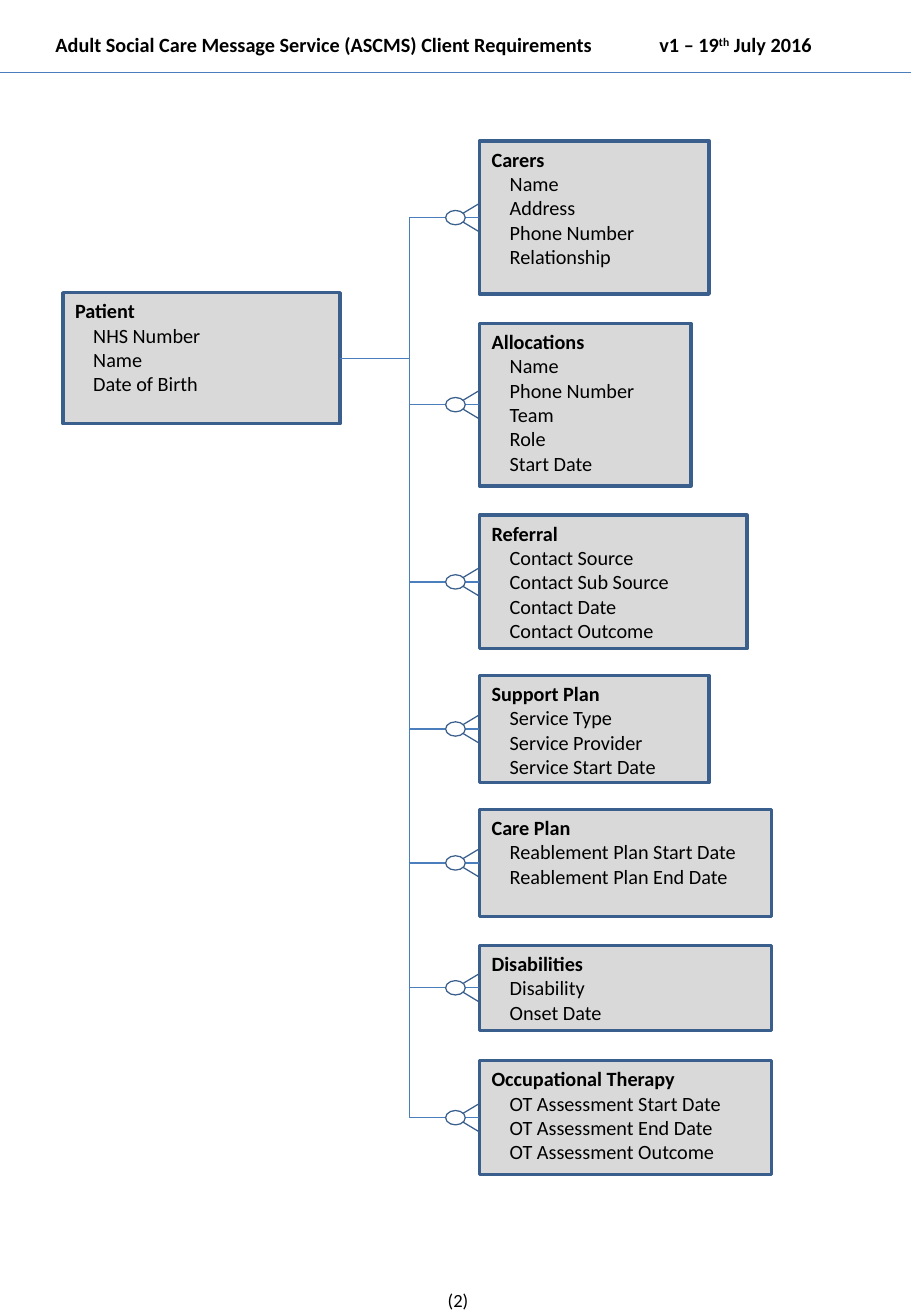
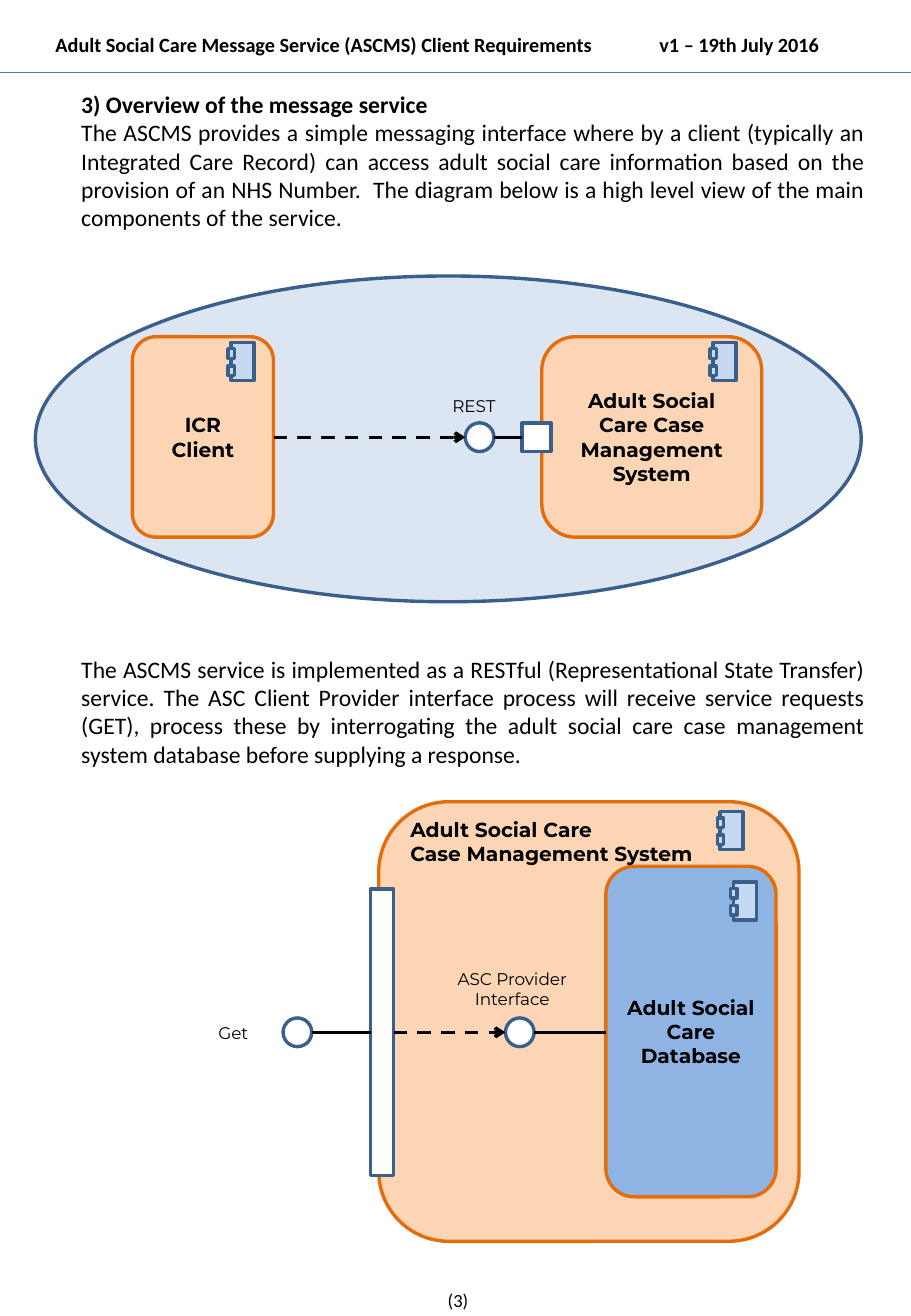
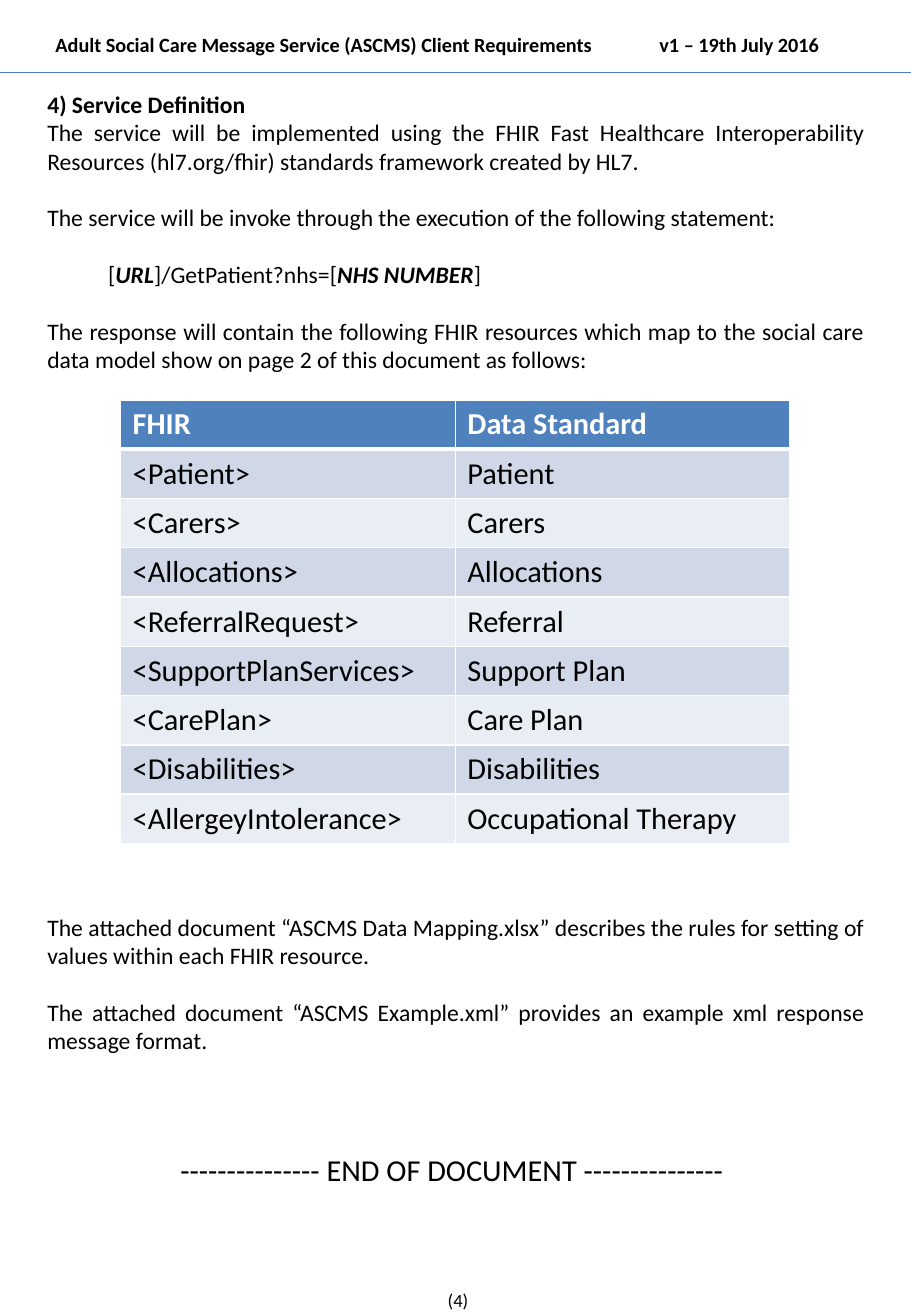
import dataclasses

import pptx
import pptx.dml.color
import pptx.enum.dml
import pptx.enum.shapes
import pptx.enum.text
import pptx.oxml
import pptx.oxml.ns
import pptx.util

Cm = pptx.util.Cm
Pt = pptx.util.Pt
SHAPE = pptx.enum.shapes.MSO_SHAPE
CONNECTOR = pptx.enum.shapes.MSO_CONNECTOR
ALIGN = pptx.enum.text.PP_ALIGN
ANCHOR = pptx.enum.text.MSO_ANCHOR
DASH = pptx.enum.dml.MSO_LINE.DASH


@dataclasses.dataclass(frozen=True)
class Theme:
    page_width: float = 19.05
    page_height: float = 27.51
    body_font: str = "Calibri"
    diagram_font: str = "Montserrat"
    # Type sizes
    label: int = 10
    page_number: int = 11
    entity: int = 12
    body: int = 14
    large: int = 18
    # Line widths
    thin: float = 0.75
    thick: float = 2
    # Colours
    ink: str = "000000"
    paper: str = "FFFFFF"
    rule: str = "4B7EBC"
    outline: str = "3A5F8C"
    entity_fill: str = "D9D9D9"
    service_fill: str = "DCE6F2"
    component_fill: str = "FCD5B5"
    component_line: str = "E46C0A"
    database_fill: str = "8EB4E3"
    icon_fill: str = "C6D9F1"
    table_head: str = "4F81BD"
    table_bands: tuple = ("D0D8E8", "E9EDF4")


THEME = Theme()


def rgb(colour):
    return pptx.dml.color.RGBColor.from_string(colour)


# Drawing helpers: all lengths are centimetres
def format_runs(paragraph, size, font=THEME.body_font, bold=False, colour=THEME.ink):
    for run in paragraph.runs:
        run.font.size = Pt(size)
        run.font.name = font
        run.font.bold = bold
        run.font.color.rgb = rgb(colour)


def indent(paragraph, distance):
    paragraph._p.get_or_add_pPr().set("marL", str(Cm(distance)))


def write(owner, text, size, font=THEME.body_font, bold=False, align=ALIGN.LEFT):
    frame = owner.text_frame
    frame.word_wrap = True
    frame.text = text
    for paragraph in frame.paragraphs:
        paragraph.alignment = align
        format_runs(paragraph, size, font, bold)
    return frame.paragraphs


def add_text(slide, left, top, width, height, text, size, **style):
    box = slide.shapes.add_textbox(Cm(left), Cm(top), Cm(width), Cm(height))
    return write(box, text, size, **style)


def add_label(slide, centre, top, text, size=THEME.label, font=THEME.diagram_font, width=4):
    add_text(slide, centre - width / 2, top, width, 0.7, text, size,
             font=font, align=ALIGN.CENTER)


def add_block(slide, preset, left, top, width, height, fill=None,
              line=THEME.outline, weight=THEME.thick):
    block = slide.shapes.add_shape(preset, Cm(left), Cm(top), Cm(width), Cm(height))
    block.shadow.inherit = False
    if fill:
        block.fill.solid()
        block.fill.fore_color.rgb = rgb(fill)
    else:
        block.fill.background()
    block.line.color.rgb = rgb(line)
    block.line.width = Pt(weight)
    return block


def add_line(slide, x1, y1, x2, y2, colour=THEME.ink, weight=THEME.thick,
             kind=CONNECTOR.STRAIGHT, arrow=False):
    line = slide.shapes.add_connector(kind, Cm(x1), Cm(y1), Cm(x2), Cm(y2))
    line.line.color.rgb = rgb(colour)
    line.line.width = Pt(weight)
    properties = line._element.spPr
    if arrow:
        line.line.dash_style = DASH
        outline = properties.find(pptx.oxml.ns.qn("a:ln"))
        tail = pptx.oxml.parse_xml(f'<a:tailEnd {pptx.oxml.ns.nsdecls("a")} type="arrow"/>')
        outline.append(tail)
    properties.append(pptx.oxml.parse_xml(f'<a:effectLst {pptx.oxml.ns.nsdecls("a")}/>'))
    return line


# Header, rule and page number shared by every page
def add_page(deck, number, raised_suffix=False):
    slide = deck.slides.add_slide(deck.slide_layouts[6])
    title = "Adult Social Care Message Service (ASCMS) Client Requirements\tv1 – 19"
    header = add_text(slide, 0.91, 0.56, 17.5, 0.76, title, THEME.entity, bold=True)[0]
    for part in ("th", " July 2016"):
        header.add_run().text = part
    format_runs(header, THEME.entity, bold=True)
    if raised_suffix:
        header.runs[1]._r.get_or_add_rPr().set("baseline", "30000")
    header._p.get_or_add_pPr().append(pptx.oxml.parse_xml(
        f'<a:tabLst {pptx.oxml.ns.nsdecls("a")}>'
        f'<a:tab pos="{Cm(12.63)}" algn="l"/></a:tabLst>'))
    add_line(slide, 0, 1.52, THEME.page_width, 1.52, THEME.rule, THEME.thin)
    add_label(slide, 9.58, 26.82, f"({number})", THEME.page_number, THEME.body_font)
    return slide


# Page 2: data model
def add_entity(slide, left, top, width, height, name, fields):
    entity = add_block(slide, SHAPE.RECTANGLE, left, top, width, height, THEME.entity_fill)
    entity.text_frame.vertical_anchor = ANCHOR.TOP
    heading, *rows = write(entity, "\n".join([name, *fields]), THEME.entity)
    heading.runs[0].font.bold = True
    for row in rows:
        indent(row, 0.38)
    return entity


def add_crow_foot(slide, right, middle):
    spread, depth = 0.6, 0.5
    foot = add_block(slide, SHAPE.ISOSCELES_TRIANGLE, right - (depth + spread) / 2,
                     middle - depth / 2, spread, depth, weight=THEME.thin)
    foot.rotation = 270
    add_block(slide, SHAPE.OVAL, right - 0.71, middle - 0.15, 0.41, 0.3,
              THEME.paper, weight=THEME.thin)


def add_data_model(slide, left, top):
    patient = add_entity(slide, left, top + 3.17, 5.79, 2.74, "Patient",
                         ["NHS Number", "Name", "Date of Birth"])
    column = left + 8.71
    related = [  # offset from top, width, height, name, fields
        (0, 4.8, 3.2, "Carers", ["Name", "Address", "Phone Number", "Relationship"]),
        (3.81, 4.42, 3.4, "Allocations",
         ["Name", "Phone Number", "Team", "Role", "Start Date"]),
        (7.82, 5.59, 2.79, "Referral",
         ["Contact Source", "Contact Sub Source", "Contact Date", "Contact Outcome"]),
        (11.17, 4.8, 2.24, "Support Plan",
         ["Service Type", "Service Provider", "Service Start Date"]),
        (13.97, 6.1, 2.24, "Care Plan",
         ["Reablement Plan Start Date", "Reablement Plan End Date"]),
        (16.81, 6.1, 1.78, "Disabilities", ["Disability", "Onset Date"]),
        (19.22, 6.1, 2.39, "Occupational Therapy",
         ["OT Assessment Start Date", "OT Assessment End Date", "OT Assessment Outcome"]),
    ]
    for offset, width, height, name, fields in related:
        entity = add_entity(slide, column, top + offset, width, height, name, fields)
        middle = top + offset + height / 2
        link = add_line(slide, left + 5.79, top + 4.54, column, middle,
                        THEME.rule, THEME.thin, CONNECTOR.ELBOW)
        link.begin_connect(patient, 3)
        link.end_connect(entity, 1)
        add_crow_foot(slide, column, middle)


# Page 3: component diagrams
def add_icon(slide, left, top):
    for x, y, width, height in [(0, 0, 0.48, 0.79), (-0.06, 0.49, 0.13, 0.2),
                                (-0.06, 0.13, 0.13, 0.2)]:
        add_block(slide, SHAPE.RECTANGLE, left + x, top + y, width, height, THEME.icon_fill)


def add_component(slide, left, top, width, height, text="", fill=THEME.component_fill):
    component = add_block(slide, SHAPE.ROUNDED_RECTANGLE, left, top, width, height,
                          fill, THEME.component_line)
    component.text_frame.vertical_anchor = ANCHOR.MIDDLE
    if text:
        write(component, text, THEME.entity, font=THEME.diagram_font,
              bold=True, align=ALIGN.CENTER)


def add_port(slide, preset, left, axis, width=0.6, height=0.6):
    add_block(slide, preset, left, axis - height / 2, width, height, THEME.paper)


def add_service_overview(slide, left, top, width, height):
    axis = top + 3.37
    client, system = left + 2.03, left + 10.59
    ball, port = left + 8.99, left + 10.18
    add_block(slide, SHAPE.OVAL, left, top, width, height, THEME.service_fill)
    add_component(slide, client, top + 1.27, 2.95, 4.19, "ICR\nClient")
    add_component(slide, system, top + 1.27, 4.6, 4.19,
                  "Adult Social Care Case Management System")
    add_port(slide, SHAPE.OVAL, ball, axis)
    add_port(slide, SHAPE.RECTANGLE, port, axis)
    add_line(slide, ball + 0.6, axis, port, axis)
    add_line(slide, client + 2.95, axis, ball, axis, arrow=True)
    add_label(slide, left + 9.17, top + 2.38, "REST")
    add_icon(slide, client + 2.06, top + 1.39)
    add_icon(slide, system + 3.58, top + 1.39)


def add_system_detail(slide, left, top, width, height):
    axis = top + 4.82
    request, gateway = left - 2, left - 0.17
    provider, database = left + 2.65, left + 4.75
    add_component(slide, left, top, width, height)
    add_component(slide, database, top + 1.35, 3.56, 6.91,
                  "Adult Social Care\nDatabase", THEME.database_fill)
    add_port(slide, SHAPE.OVAL, request, axis)
    add_port(slide, SHAPE.RECTANGLE, gateway, axis, 0.48, 5.99)
    add_port(slide, SHAPE.OVAL, provider, axis)
    add_line(slide, request + 0.6, axis, gateway, axis)
    add_line(slide, gateway + 0.48, axis, provider, axis, arrow=True)
    add_line(slide, provider + 0.6, axis, database, axis)
    add_icon(slide, left + 7.14, top + 0.21)
    add_icon(slide, left + 7.42, top + 1.68)
    add_text(slide, left + 0.41, top + 0.2, 6.8, 1.27,
             "Adult Social Care\nCase Management System", THEME.entity,
             font=THEME.diagram_font, bold=True)
    add_label(slide, left + 2.79, top + 3.36, "ASC Provider\nInterface")
    add_label(slide, left - 3.04, top + 4.5, "Get")


def add_overview_text(slide, left, top, width):
    introduction = add_text(
        slide, left, top, width, 4.45,
        "3) Overview of the message service\n"
        "The ASCMS provides a simple messaging interface where by a client (typically an "
        "Integrated Care Record) can access adult social care information based on the "
        "provision of an NHS Number.  The diagram below is a high level view of the main "
        "components of the service.", THEME.body, align=ALIGN.JUSTIFY)
    introduction[0].runs[0].font.bold = True
    implementation = add_text(
        slide, left, top + 11.81, width, 2.64,
        "The ASCMS service is implemented as a RESTful (Representational State Transfer) "
        "service. The ASC Client Provider interface process will receive service requests "
        "(GET), process these by interrogating the adult social care case management "
        "system database before supplying a response.", THEME.body, align=ALIGN.JUSTIFY)
    for paragraph in [*introduction, *implementation]:
        indent(paragraph, 0.71)


# Page 4: service definition
def add_definition_text(slide, left, top, width):
    blank_line = Pt(16.8)
    introduction = add_text(
        slide, left, top, width, 6.2,
        "4) Service Definition\n"
        "The service will be implemented using the FHIR Fast Healthcare Interoperability "
        "Resources (hl7.org/fhir) standards framework created by HL7.\n"
        "The service will be invoke through the execution of the following statement:\n"
        "[\n"
        "The response will contain the following FHIR resources which map to the social care "
        "data model show on page 2 of this document as follows:",
        THEME.body, align=ALIGN.JUSTIFY)
    introduction[0].runs[0].font.bold = True
    statement = introduction[3]
    indent(statement, 1.27)
    for part in ("URL", "]/GetPatient?nhs=[", "NHS NUMBER", "]"):
        statement.add_run().text = part
    format_runs(statement, THEME.body)
    for parameter in statement.runs[1::2]:
        parameter.font.bold = parameter.font.italic = True
    attachments = add_text(
        slide, left, top + 17.2, width, 3.2,
        "The attached document “ASCMS Data Mapping.xlsx” describes the rules for setting of "
        "values within each FHIR resource.\n"
        "The attached document “ASCMS Example.xml” provides an example xml response "
        "message format.", THEME.body, align=ALIGN.JUSTIFY)
    for paragraph in [*introduction[2:], attachments[1]]:
        paragraph.space_before = blank_line


def set_borders(cell, bottom):
    properties = cell._tc.get_or_add_tcPr()
    for place, (side, weight) in enumerate(
            [("lnL", 1), ("lnR", 1), ("lnT", 1), ("lnB", bottom)]):
        properties.insert(place, pptx.oxml.parse_xml(
            f'<a:{side} {pptx.oxml.ns.nsdecls("a")} w="{Pt(weight)}"><a:solidFill>'
            f'<a:srgbClr val="{THEME.paper}"/></a:solidFill></a:{side}>'))


def add_mapping_table(slide, left, top, width, row_height):
    mapping = [
        ("FHIR", "Data Standard"),
        ("<Patient>", "Patient"),
        ("<Carers>", "Carers"),
        ("<Allocations>", "Allocations"),
        ("<ReferralRequest>", "Referral"),
        ("<SupportPlanServices>", "Support Plan"),
        ("<CarePlan>", "Care Plan"),
        ("<Disabilities>", "Disabilities"),
        ("<AllergeyIntolerance>", "Occupational Therapy"),
    ]
    table = slide.shapes.add_table(len(mapping), 2, Cm(left), Cm(top), Cm(width),
                                   Cm(row_height * len(mapping))).table
    for number, names in enumerate(mapping):
        table.rows[number].height = Cm(row_height)
        is_head = number == 0
        fill = THEME.table_head if is_head else THEME.table_bands[(number - 1) % 2]
        for column, name in enumerate(names):
            cell = table.cell(number, column)
            cell.text = name
            format_runs(cell.text_frame.paragraphs[0], THEME.large, bold=is_head,
                        colour=THEME.paper if is_head else THEME.ink)
            cell.fill.solid()
            cell.fill.fore_color.rgb = rgb(fill)
            set_borders(cell, 3 if is_head else 1)


def main():
    deck = pptx.Presentation()
    deck.slide_width = Cm(THEME.page_width)
    deck.slide_height = Cm(THEME.page_height)

    data_model = add_page(deck, 2, raised_suffix=True)
    add_data_model(data_model, 1.32, 2.95)

    overview = add_page(deck, 3)
    add_overview_text(overview, 0.74, 1.75, 17.6)
    add_service_overview(overview, 0.74, 5.77, 17.27, 6.81)
    add_system_detail(overview, 7.92, 16.76, 8.79, 9.19)

    definition = add_page(deck, 4)
    add_definition_text(definition, 0.74, 1.75, 17.6)
    add_mapping_table(definition, 2.52, 8.36, 14, 1.03)
    add_label(definition, 9.45, 23.93, "--------------- END OF DOCUMENT ---------------",
              THEME.large, THEME.body_font, 14)

    deck.save("out.pptx")


if __name__ == "__main__":
    main()
